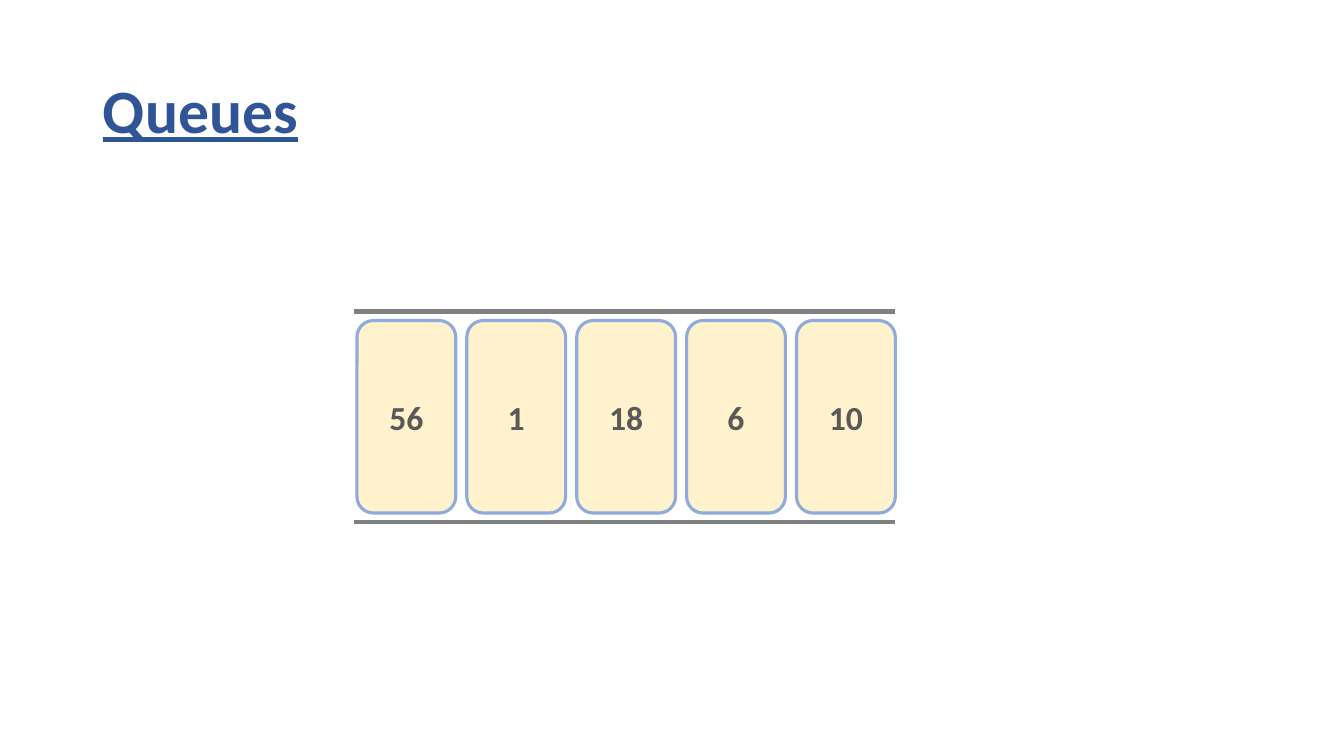
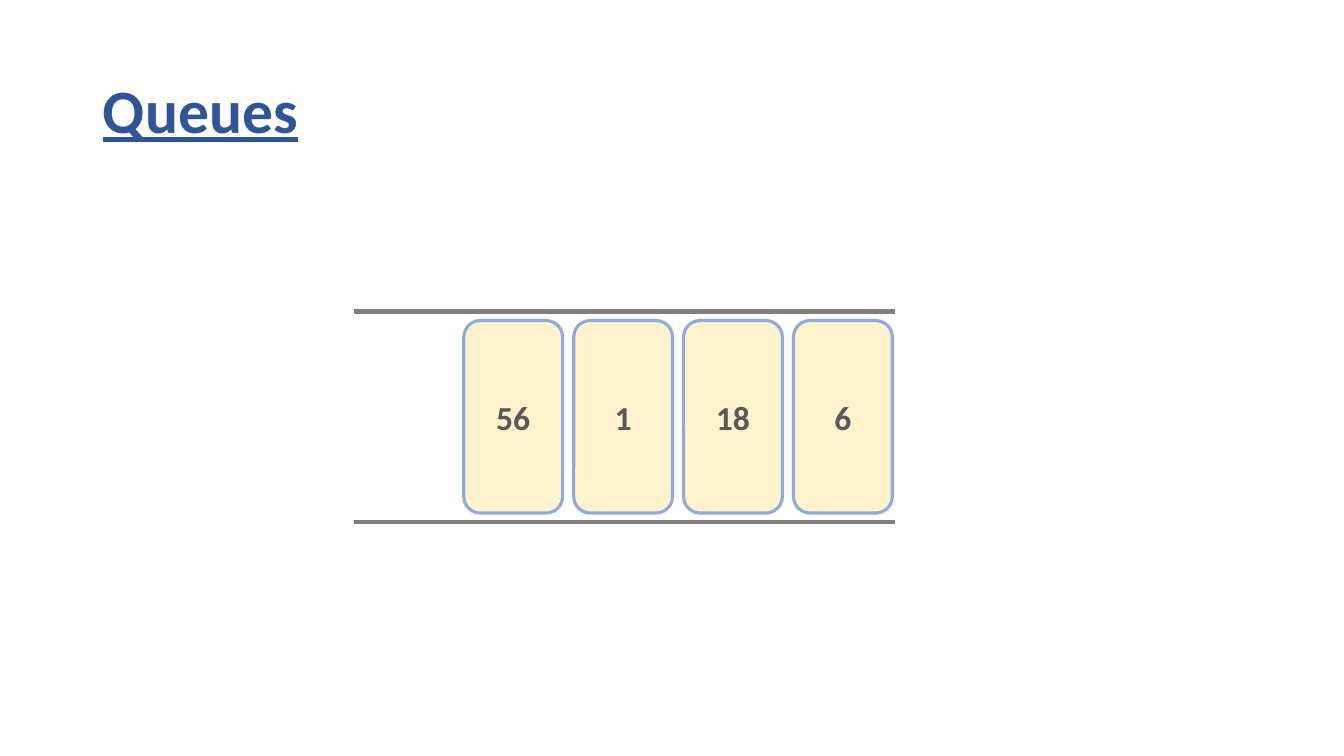
from dataclasses import dataclass

from lxml.etree import SubElement
from pptx import Presentation
from pptx.dml.color import RGBColor
from pptx.enum.shapes import MSO_CONNECTOR as Connector, MSO_SHAPE as Shape
from pptx.enum.text import MSO_ANCHOR as Anchor, PP_ALIGN as Align
from pptx.oxml.ns import qn
from pptx.util import Inches, Pt


@dataclass(frozen=True)
class Theme:
    font: str = "Calibri"
    title: RGBColor = RGBColor(0x2F, 0x55, 0x97)
    rail: RGBColor = RGBColor(0x80, 0x80, 0x80)
    card_fill: RGBColor = RGBColor(0xFF, 0xF2, 0xCC)
    card_line: RGBColor = RGBColor(0x8F, 0xAA, 0xDC)
    number: RGBColor = RGBColor(0x59, 0x59, 0x59)
    title_size: Pt = Pt(44)
    number_size: Pt = Pt(24)
    rail_width: Pt = Pt(3)
    card_width: Pt = Pt(2.25)


THEME = Theme()
TITLE_ONLY = 5

# Queue geometry in inches
RAIL_LEFT, RAIL_RIGHT = 3.51, 8.88
RAIL_HEIGHTS = (5.18, 3.09)
CARD_TOP, CARD_WIDTH, CARD_HEIGHT = 3.18, 0.98, 1.91
CARD_STEP = 1.09

# Left edge of the front card, then the values from back to front
QUEUES = (
    (7.90, (56, 1, 18, 6, 10)),
    (7.87, (56, 1, 18, 6)),
)


def add_span(para, text, size, color):
    span = para.add_run()
    span.text = text
    font = span.font
    font.name, font.size, font.bold = THEME.font, size, True
    font.color.rgb = color
    return span


def set_title(page, text):
    box = page.shapes.title
    box.left, box.top = Inches(0.92), Inches(0.4)
    box.width, box.height = Inches(11.5), Inches(1.45)
    box.text_frame.vertical_anchor = Anchor.MIDDLE
    para = box.text_frame.paragraphs[0]
    para.alignment = Align.LEFT
    para.line_spacing = 0.9
    add_span(para, text, THEME.title_size, THEME.title).font.underline = True


def add_rail(page, height):
    rail = page.shapes.add_connector(
        Connector.STRAIGHT, Inches(RAIL_RIGHT), Inches(height),
        Inches(RAIL_LEFT), Inches(height))
    rail.line.color.rgb = THEME.rail
    rail.line.width = THEME.rail_width
    SubElement(rail._element.spPr, qn("a:effectLst"))


def add_card(page, left, value):
    card = page.shapes.add_shape(
        Shape.ROUNDED_RECTANGLE, Inches(left), Inches(CARD_TOP),
        Inches(CARD_WIDTH), Inches(CARD_HEIGHT))
    card.shadow.inherit = False
    card.fill.solid()
    card.fill.fore_color.rgb = THEME.card_fill
    card.line.color.rgb = THEME.card_line
    card.line.width = THEME.card_width
    card.text_frame.vertical_anchor = Anchor.MIDDLE
    para = card.text_frame.paragraphs[0]
    para.alignment = Align.CENTER
    add_span(para, str(value), THEME.number_size, THEME.number)


def add_queue(page, front_left, values):
    for height in RAIL_HEIGHTS:
        add_rail(page, height)
    # Cards run leftwards from the front of the queue
    for place, value in enumerate(reversed(values)):
        add_card(page, front_left - place * CARD_STEP, value)


def main():
    deck = Presentation()
    deck.slide_width, deck.slide_height = Inches(13.33), Inches(7.5)
    for front_left, values in QUEUES:
        page = deck.slides.add_slide(deck.slide_layouts[TITLE_ONLY])
        set_title(page, "Queues")
        add_queue(page, front_left, values)
    deck.save("out.pptx")


main()
